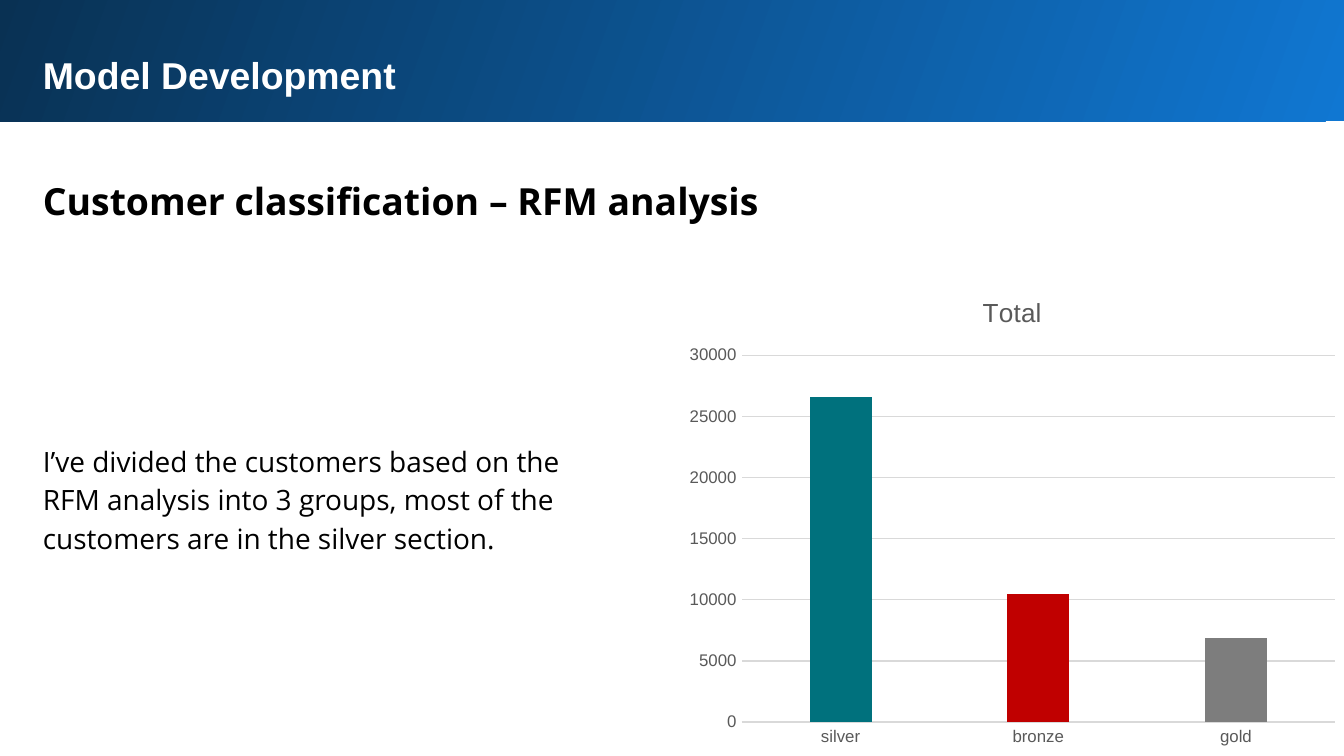
from lxml import etree
from pptx import Presentation
from pptx.chart import data
from pptx.dml.color import RGBColor
from pptx.enum import chart as charts, shapes, text
from pptx.oxml import ns
from pptx.util import Cm, Pt

WHITE = RGBColor(0xFF, 0xFF, 0xFF)
BLACK = RGBColor(0, 0, 0)
BLUE = RGBColor(0x10, 0x77, 0xD2)
NAVY = RGBColor(0x09, 0x31, 0x53)
GREY_TEXT = RGBColor(0x59, 0x59, 0x59)
GRID = RGBColor(0xD9, 0xD9, 0xD9)
AMBER = RGBColor(0xFF, 0xAB, 0x40)
TEAL = RGBColor(0x00, 0x71, 0x7D)
RED = RGBColor(0xC0, 0, 0)
GREY = RGBColor(0x7D, 0x7D, 0x7D)


class Slide:
    heading_font = "Arial"
    body_font = "Open Sans"
    margin = 0.56

    def __init__(self, deck):
        self.page = deck.slides.add_slide(deck.slide_layouts[1])
        self.title, self.body = self.page.placeholders

    def style(self, font, size, color, bold=False, name=None):
        font.name = name or self.heading_font
        font.size = Pt(size)
        font.color.rgb = color
        font.bold = bold

    def band(self, left, top, width, height):
        band = self.page.shapes.add_shape(
            shapes.MSO_SHAPE.RECTANGLE, Cm(left), Cm(top), Cm(width), Cm(height))
        band.shadow.inherit = False
        band.line.fill.background()
        band.fill.gradient()
        band.fill.gradient_angle = 160
        for stop, color, position in zip(band.fill.gradient_stops, (BLUE, NAVY), (0, 1)):
            stop.color.rgb = color
            stop.position = position
        self.title.element.addprevious(band.element)

    def text_box(self):
        return self.page.shapes.add_textbox(0, 0, 0, 0)

    def set_text(self, box, words, top, width, height, size,
                 color=BLACK, bold=False, name=None, spacing=1.15):
        box.left, box.top = Cm(self.margin), Cm(top)
        box.width, box.height = Cm(width), Cm(height)
        frame = box.text_frame
        frame.text = words
        frame.word_wrap = True
        frame.auto_size = text.MSO_AUTO_SIZE.NONE
        frame.vertical_anchor = text.MSO_ANCHOR.TOP
        frame.margin_left = frame.margin_right = Cm(0.25)
        frame.margin_top = frame.margin_bottom = Cm(0.25)
        para = frame.paragraphs[0]
        properties = para._p.get_or_add_pPr()
        properties.set("marL", "0")
        properties.set("indent", "0")
        etree.SubElement(properties, ns.qn("a:buNone"))
        para.alignment = text.PP_ALIGN.LEFT
        para.line_spacing = spacing
        para.space_before = Pt(0)
        for span in para.runs:
            self.style(span.font, size, color, bold, name or self.body_font)

    def column_chart(self, left, top, width, height, name, columns):
        source = data.CategoryChartData()
        source.categories = [label for label, _, _ in columns]
        source.add_series(name, [value for _, value, _ in columns])
        chart = self.page.shapes.add_chart(
            charts.XL_CHART_TYPE.COLUMN_CLUSTERED,
            Cm(left), Cm(top), Cm(width), Cm(height), source).chart
        self.style(chart.font, 10, BLACK)
        chart.has_legend = False
        chart.has_title = True
        chart.chart_title.text_frame.text = name
        for span in chart.chart_title.text_frame.paragraphs[0].runs:
            self.style(span.font, 14, GREY_TEXT)
        for axis in (chart.category_axis, chart.value_axis):
            axis.major_tick_mark = axis.minor_tick_mark = charts.XL_TICK_MARK.NONE
            self.style(axis.tick_labels.font, 9, GREY_TEXT)
        chart.value_axis.format.line.fill.background()
        for line in (chart.category_axis.format.line,
                     chart.value_axis.major_gridlines.format.line):
            line.color.rgb = GRID
            line.width = Pt(0.75)
        plot = chart.plots[0]
        plot.vary_by_categories = False
        plot.gap_width = 219
        plot.overlap = -27
        series = plot.series[0]
        series.format.fill.solid()
        series.format.fill.fore_color.rgb = AMBER
        for index, (_, _, color) in enumerate(columns):
            fill = series.points[index].format.fill
            fill.solid()
            fill.fore_color.rgb = color


def main():
    deck = Presentation()
    deck.slide_width, deck.slide_height = Cm(25.4), Cm(14.29)
    slide = Slide(deck)
    slide.band(-0.05, -0.05, 25.53, 2.34)
    slide.set_text(slide.title, "Model Development", 0.74, 23.8, 1.3, 20,
                   WHITE, True, slide.heading_font, 1.0)
    slide.set_text(slide.text_box(), "Customer classification – RFM analysis",
                   3, 23.8, 1.42, 20, bold=True)
    slide.set_text(slide.body,
                   "I’ve divided the customers based on the RFM analysis into 3 groups, "
                   "most of the customers are in the silver section.",
                   8.05, 11.48, 2.67, 15)
    slide.column_chart(12.78, 5.18, 12.7, 9.12, "Total", [
        ("silver", 26600, TEAL), ("bronze", 10500, RED), ("gold", 6900, GREY)])
    deck.save("out.pptx")


if __name__ == "__main__":
    main()
